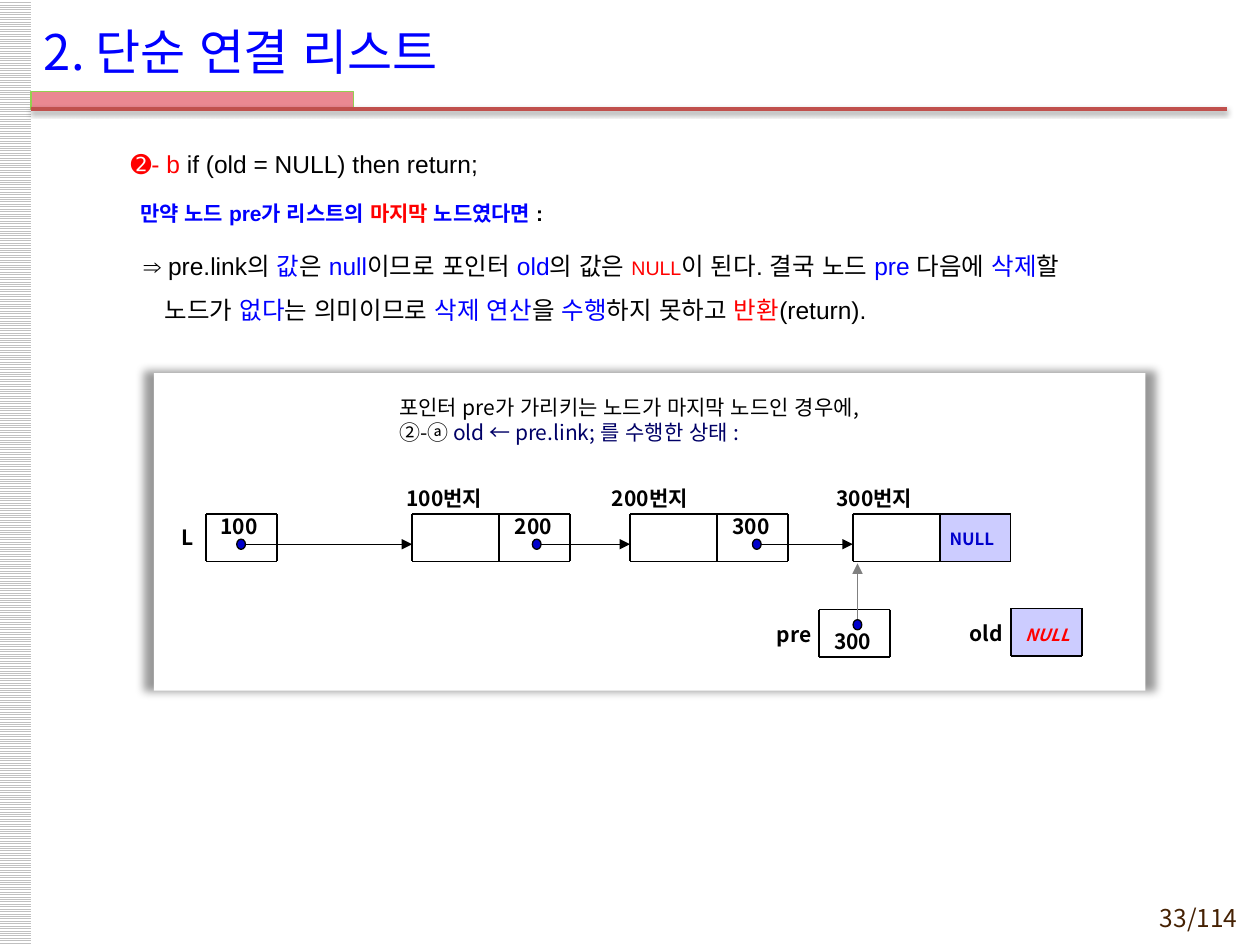
from dataclasses import dataclass

from lxml import etree
from pptx import Presentation
from pptx.dml.color import RGBColor
from pptx.enum.dml import MSO_PATTERN
from pptx.enum.shapes import MSO_CONNECTOR, MSO_SHAPE
from pptx.enum.text import MSO_ANCHOR, PP_ALIGN
from pptx.oxml.ns import qn
from pptx.util import Pt

RECT, OVAL = MSO_SHAPE.RECTANGLE, MSO_SHAPE.OVAL
STRAIGHT = MSO_CONNECTOR.STRAIGHT
STRIPES = MSO_PATTERN.LIGHT_HORIZONTAL
TOP, MIDDLE = MSO_ANCHOR.TOP, MSO_ANCHOR.MIDDLE
LEFT, CENTER, RIGHT = PP_ALIGN.LEFT, PP_ALIGN.CENTER, PP_ALIGN.RIGHT
SANS, KOREAN = "Arial", "Noto Sans CJK KR"
COLORS = {
    "black": "000000", "white": "FFFFFF", "blue": "0000FF", "red": "FF0000",
    "navy": "000066", "dot": "0000CC", "lilac": "CCCCFF", "gray": "808080",
    "stripe": "C0C0C0", "pink": "EA8892", "green": "92D050",
    "rule": "C0504D", "brown": "452103",
}
NODE_TOP, CELL_HEIGHT, DATA_WIDTH, LINK_WIDTH = 293.8, 27, 49.7, 40.5
DOT_WIDTH, DOT_HEIGHT, LINK_Y = 5, 5.8, 311
POINTER_TOP = 348


@dataclass
class Span:
    text: str
    color: str = "black"
    size: float = 12
    font: str = KOREAN
    bold: bool = False
    italic: bool = False
    small_caps: bool = False


@dataclass
class Paragraph:
    spans: list[Span]
    margin: float = 0
    indent: float = 0
    before: float = 0
    after: float = 0
    spacing: float = 1


@dataclass
class Node:
    left: float
    address: str
    address_left: float
    link: str
    dot_x: float


@dataclass
class Pointer:
    left: float
    top: float
    name: str
    name_right: float
    name_top: float


def rgb(name: str) -> RGBColor:
    return RGBColor.from_string(COLORS[name])


def add_shadow(effects, opacity: int, blur: float, distance: float,
               scale: tuple[int, int] = (100, 100)) -> None:
    shadow = etree.SubElement(
        effects, qn("a:outerShdw"), blurRad=str(Pt(blur)), dist=str(Pt(distance)),
        dir="5400000", sx=str(scale[0] * 1000), sy=str(scale[1] * 1000),
        algn="ctr", rotWithShape="0")
    color = etree.SubElement(shadow, qn("a:srgbClr"), val=COLORS["black"])
    etree.SubElement(color, qn("a:alpha"), val=str(opacity * 1000))


def add_box(slide, kind, left: float, top: float, width: float, height: float,
            fill: str = "white", line: str = ""):
    box = slide.shapes.add_shape(kind, Pt(left), Pt(top), Pt(width), Pt(height))
    box.shadow.inherit = False
    box.fill.solid()
    box.fill.fore_color.rgb = rgb(fill)
    if line:
        box.line.color.rgb = rgb(line)
        box.line.width = Pt(0.75)
    else:
        box.line.fill.background()
    return box


def add_line(slide, start: tuple[float, float], end: tuple[float, float],
             color: str = "black", weight: float = 0.75, arrow: bool = True):
    line = slide.shapes.add_connector(STRAIGHT, *map(Pt, start + end))
    line.line.color.rgb = rgb(color)
    line.line.width = Pt(weight)
    if arrow:
        etree.SubElement(line.line._get_or_add_ln(), qn("a:tailEnd"), type="triangle")
    return etree.SubElement(line._element.spPr, qn("a:effectLst"))


def add_cells(slide, left: float, top: float, widths: list[float]) -> None:
    edges = [left + sum(widths[:count]) for count in range(len(widths) + 1)]
    bottom = top + CELL_HEIGHT
    for y in (top, bottom):
        add_line(slide, (left, y), (edges[-1], y), weight=1, arrow=False)
    for x in edges:
        add_line(slide, (x, top), (x, bottom), weight=1, arrow=False)


def fill_frame(frame, paragraphs: list[Paragraph], align=LEFT, anchor=MIDDLE,
               inset: float = 7.2, wrap: bool = True) -> None:
    frame.word_wrap = wrap
    frame.vertical_anchor = anchor
    frame.margin_left = frame.margin_right = Pt(inset)
    frame.margin_top = Pt(inset / 2)
    frame.margin_bottom = Pt(3.6)
    for index, content in enumerate(paragraphs):
        paragraph = frame.add_paragraph() if index else frame.paragraphs[0]
        paragraph.alignment = align
        paragraph.line_spacing = content.spacing
        paragraph.space_before = Pt(content.before)
        paragraph.space_after = Pt(content.after)
        properties = paragraph._p.get_or_add_pPr()
        properties.set("marL", str(Pt(content.margin)))
        properties.set("indent", str(Pt(content.indent)))
        for span in content.spans:
            add_span(paragraph, span)


def add_text(slide, left: float, top: float, width: float, height: float,
             paragraphs: list[Paragraph], **layout) -> None:
    box = slide.shapes.add_textbox(Pt(left), Pt(top), Pt(width), Pt(height))
    fill_frame(box.text_frame, paragraphs, **layout)


def add_span(paragraph, span: Span) -> None:
    for index, text in enumerate(span.text.split("\n")):
        if index:
            paragraph.add_line_break()
        run = paragraph.add_run()
        run.text = text
        run.font.size = Pt(span.size)
        run.font.bold = span.bold
        run.font.italic = span.italic
        run.font.name = span.font
        run.font.color.rgb = rgb(span.color)
        properties = run._r.get_or_add_rPr()
        etree.SubElement(properties, qn("a:ea"), typeface=SANS)
        if span.small_caps:
            properties.set("cap", "small")


def add_label(slide, left: float, top: float, width: float, height: float, text: str,
              align=LEFT, inset: float = 7.2, **style) -> None:
    add_text(slide, left, top, width, height,
             [Paragraph([Span(text, bold=True, **style)])], align=align, inset=inset)


def add_dot(slide, x: float, y: float) -> None:
    add_box(slide, OVAL, x - DOT_WIDTH / 2, y - DOT_HEIGHT / 2, DOT_WIDTH, DOT_HEIGHT,
            "dot", "black")


def add_node(slide, node: Node) -> None:
    link_left = node.left + DATA_WIDTH
    if node.link == "null":
        add_box(slide, RECT, link_left, 294.4, 39.8, 26, "lilac", "lilac")
        add_label(slide, link_left - 3.6, 295.2, 44, 27, node.link, CENTER, 0,
                  color="dot", small_caps=True)
    else:
        add_label(slide, link_left + 1.8, 294, 38, 13, node.link)
    add_cells(slide, node.left, NODE_TOP, [DATA_WIDTH, LINK_WIDTH])
    add_label(slide, node.address_left, 278.2, 65, 13, node.address)


def add_header(slide) -> None:
    stripes = add_box(slide, RECT, -0.7, 0, 18.7, 540)
    stripes.fill.patterned()
    stripes.fill.pattern = STRIPES
    stripes.fill.fore_color.rgb = rgb("stripe")
    stripes.fill.back_color.rgb = rgb("white")
    add_box(slide, RECT, 17.7, 52.4, 184.3, 10, "pink", "green")
    add_shadow(add_line(slide, (17.7, 62.3), (701, 62.3), "rule", 2, False), 38, 3.1, 1.6)
    add_text(slide, 18, 6.5, 595.5, 45.4, [Paragraph([Span("2. 단순 연결 리스트", "blue", 28)])])
    add_text(slide, 638, 514.2, 76.3, 20.9, [Paragraph([Span("33/114", "brown", 14)])],
             align=RIGHT)


def add_explanation(slide) -> None:
    condition = [("➋- b ", "red"), ("if (old = NULL) then return;", "black")]
    premise = [("만약 노드 pre가 리스트의 ", "blue"), ("마지막", "red"),
               (" 노드였다면 ", "blue"), (":", "black")]
    before_null = [("⇒ pre.link의 ", "black"), ("값", "blue"), ("은 ", "black"),
                   ("null", "blue"), ("이므로 포인터 ", "black"), ("old", "blue"),
                   ("의 값은 ", "black")]
    after_null = [("이 된다. 결국 노드 ", "black"), ("pre ", "blue"), ("다음에 ", "black"),
                  ("삭제", "blue"), ("할\n노드가 ", "black"), ("없다", "blue"),
                  ("는 의미이므로 ", "black"), ("삭제 연산", "blue"), ("을 ", "black"),
                  ("수행", "blue"), ("하지 못하고 ", "black"), ("반환", "red"),
                  ("(return).", "black")]

    def spans(parts: list[tuple[str, str]], size: float = 14, bold: bool = False) -> list[Span]:
        return [Span(text, color, size, SANS, bold) for text, color in parts]

    null = Span("null", "red", 14, SANS, small_caps=True)
    add_text(slide, 18, 73.4, 684, 450, [
        Paragraph(spans(condition), 49.7, 0, 0, 3, 1.5),
        Paragraph(spans(premise, 12, True), 55, 0, 2.4, 3, 1.5),
        Paragraph(spans(before_null) + [null] + spans(after_null), 69, -12, 2.8, 3, 1.5),
    ], anchor=TOP)


def add_diagram(slide) -> None:
    panel = add_box(slide, RECT, 88, 213.2, 566.6, 181.5)
    add_shadow(panel._element.spPr.find(qn("a:effectLst")), 40, 5, 0, (102, 101))
    add_text(slide, 221, 221.8, 282, 36, [
        Paragraph([Span("포인터 pre가 가리키는 노드가 마지막 노드인 경우에,")]),
        Paragraph([Span("②-ⓐ "), Span("old ← pre.link; 를 수행한 상태 :", "navy")]),
    ], anchor=TOP, wrap=False)

    nodes = [Node(235.5, "100번지", 225.2, "200", 306.7),
             Node(360, "200번지", 342.6, "300", 432.5),
             Node(487.3, "300번지", 470.8, "null", 0)]
    for node in nodes:
        add_node(slide, node)
    old_value = add_box(slide, RECT, 578.7, 348.5, 39.6, 26, "lilac", "lilac")
    fill_frame(old_value.text_frame, [Paragraph([
        Span("null", "red", bold=True, italic=True, small_caps=True)])], CENTER, wrap=False)
    for pointer in (Pointer(117.8, NODE_TOP, "L", 110.7, 295.2),
                    Pointer(468, POINTER_TOP + 0.3, "pre", 463.6, 350.6),
                    Pointer(577.6, POINTER_TOP - 0.3, "old", 573, 350)):
        add_cells(slide, pointer.left, pointer.top, [LINK_WIDTH])
        add_label(slide, pointer.name_right - 35.5, pointer.name_top, 35.5, 27,
                  pointer.name, RIGHT, 0)
    add_label(slide, 118.8, 294, 38, 13, "100")
    add_label(slide, 469.5, 359.8, 38, 13, "300")

    for dot_x, target in zip((137.8, nodes[0].dot_x, nodes[1].dot_x), nodes):
        add_line(slide, (dot_x + DOT_WIDTH / 2, LINK_Y), (target.left, LINK_Y))
        add_dot(slide, dot_x, LINK_Y)
    add_line(slide, (490, 354), (490, 322), "gray")
    add_dot(slide, 490, 357)


def main() -> None:
    """Build the slide on deleting after the last node of a singly linked list."""
    presentation = Presentation()
    presentation.slide_width, presentation.slide_height = Pt(720), Pt(540)
    slide = presentation.slides.add_slide(presentation.slide_layouts[6])
    for add_part in (add_header, add_explanation, add_diagram):
        add_part(slide)
    presentation.save("out.pptx")


if __name__ == "__main__":
    main()
